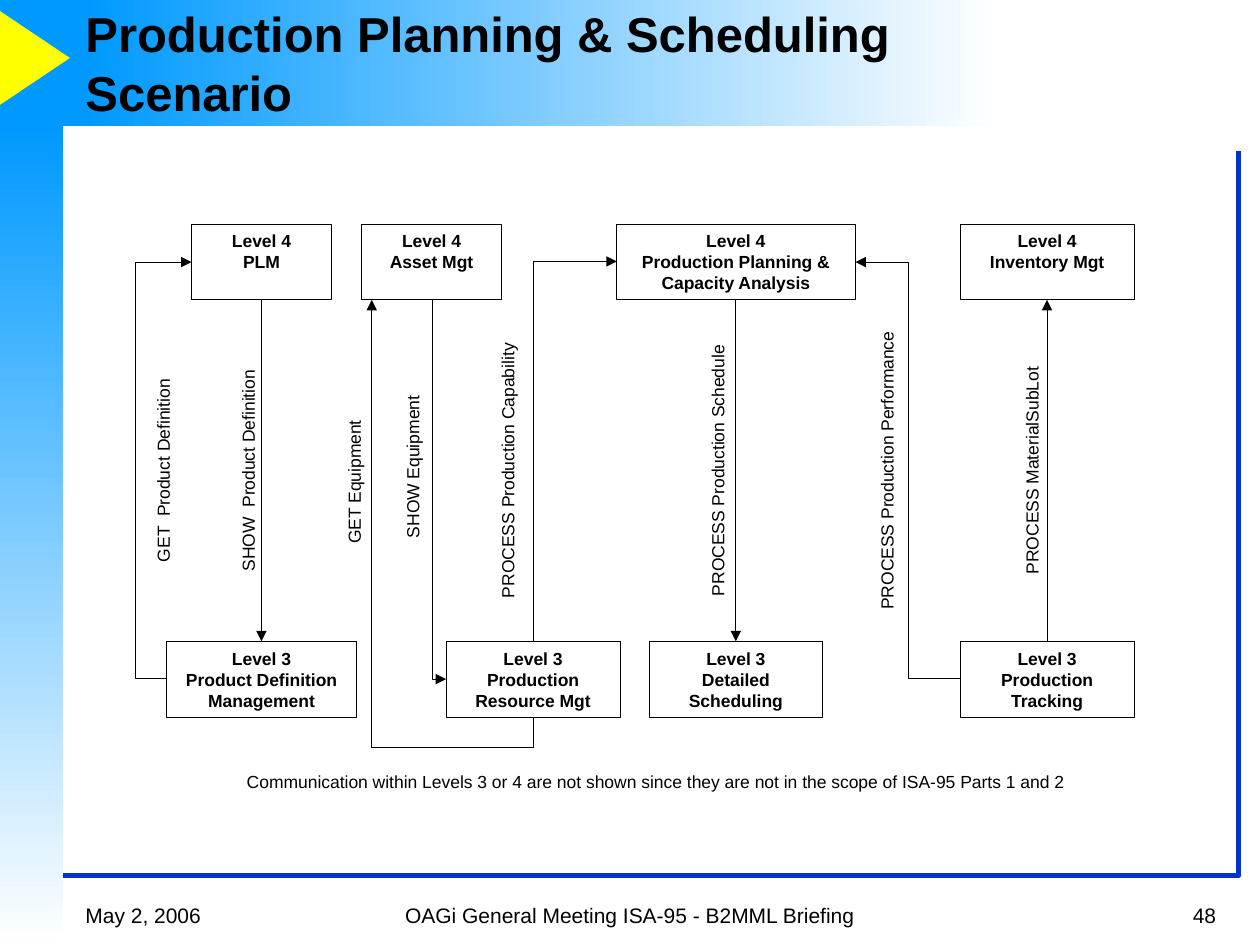
"""Build the production planning and scheduling scenario slide."""
import pptx
import pptx.util
import pptx.dml.color
import pptx.enum.shapes
import pptx.enum.text
import pptx.oxml.ns
import lxml.etree

Inches = pptx.util.Inches
Pt = pptx.util.Pt
qn = pptx.oxml.ns.qn
SHAPE = pptx.enum.shapes.MSO_SHAPE
CONNECTOR = pptx.enum.shapes.MSO_CONNECTOR
ALIGN = pptx.enum.text.PP_ALIGN
ANCHOR = pptx.enum.text.MSO_ANCHOR
FIT = pptx.enum.text.MSO_AUTO_SIZE
COLORS = {
    name: pptx.dml.color.RGBColor.from_string(value)
    for name, value in {
        "black": "000000", "white": "FFFFFF", "sky": "0099FF",
        "yellow": "FFFF00", "frame": "0033CC",
    }.items()
}
TOP, LEFT, BOTTOM, RIGHT = range(4)


def write(box, lines, size, bold=False, align=ALIGN.LEFT, **frame_format):
    frame = box.text_frame
    for name, value in {"word_wrap": True, **frame_format}.items():
        setattr(frame, name, value)
    for index, line in enumerate(lines):
        para = frame.add_paragraph() if index else frame.paragraphs[0]
        para.alignment = align
        span = para.add_run()
        span.text = line
        for name, value in {"name": "Arial", "size": Pt(size), "bold": bold}.items():
            setattr(span.font, name, value)
        span.font.color.rgb = COLORS["black"]


def draw_line(item, color="black", width=0.37, arrow_end=None):
    item.line.color.rgb = COLORS[color]
    item.line.width = Pt(width)
    properties = item._element.spPr
    if arrow_end:
        lxml.etree.SubElement(properties.find(qn("a:ln")), qn(f"a:{arrow_end}"), type="triangle")
    if properties.find(qn("a:effectLst")) is None:
        lxml.etree.SubElement(properties, qn("a:effectLst"))


deck = pptx.Presentation()
deck.slide_width, deck.slide_height = Inches(10), Inches(7.5)
page = deck.slides.add_slide(deck.slide_layouts[6])
shapes = page.shapes

for area, angle, stops in [
    ((0.67, 0, 7.25, 1), 180, ("white", "sky")),
    ((0, 1, 0.5, 6.5), 270, ("sky", "white")),
]:
    band = shapes.add_shape(SHAPE.RECTANGLE, *map(Inches, area))
    band.shadow.inherit = False
    band.line.fill.background()
    band.fill.gradient()
    band.fill.gradient_angle = angle
    for stop, color in zip(band.fill.gradient_stops, stops):
        stop.color.rgb = COLORS[color]

for kind, area, angle, color in [
    (SHAPE.RECTANGLE, (0, 0, 0.67, 1), 0, "sky"),
    (SHAPE.ISOSCELES_TRIANGLE, (-0.1, 0.18, 0.75, 0.56), 90, "yellow"),
]:
    corner = shapes.add_shape(kind, *map(Inches, area))
    corner.shadow.inherit = False
    corner.rotation = angle
    corner.line.fill.background()
    corner.fill.solid()
    corner.fill.fore_color.rgb = COLORS[color]

for points, color, width, arrow_end in [
    ([(0.5, 6.95), (9.83, 6.95), (9.83, 1.2)], "frame", 3, None),
    ([(2.95, 2.38), (2.95, 5.93), (4.23, 5.93), (4.23, 5.69)], "black", 0.37, "headEnd"),
]:
    corners = [(Inches(x), Inches(y)) for x, y in points]
    builder = shapes.build_freeform(*corners[0])
    builder.add_line_segments(corners[1:], close=False)
    route = builder.convert_to_shape()
    route.fill.background()
    draw_line(route, color, width, arrow_end)

title = shapes.add_textbox(*map(Inches, (0.58, 0.08, 7.33, 0.83)))
write(title, ["Production Planning & Scheduling Scenario"], 28, True, vertical_anchor=ANCHOR.MIDDLE)

systems = {}
for level, name, left, width in [
    (4, "PLM", 1.52, 1.11),
    (4, "Asset Mgt", 2.87, 1.11),
    (4, "Production Planning & Capacity Analysis", 4.89, 1.9),
    (4, "Inventory Mgt", 7.62, 1.38),
    (3, "Product Definition Management", 1.32, 1.51),
    (3, "Production Resource Mgt", 3.54, 1.38),
    (3, "Detailed Scheduling", 5.15, 1.38),
    (3, "Production Tracking", 7.62, 1.38),
]:
    top = 1.78 if level == 4 else 5.09
    box = shapes.add_shape(SHAPE.RECTANGLE, *map(Inches, (left, top, width, 0.6)))
    box.shadow.inherit = False
    box.fill.solid()
    box.fill.fore_color.rgb = COLORS["white"]
    draw_line(box)
    write(box, [f"Level {level}", name], 10, True, ALIGN.CENTER, vertical_anchor=ANCHOR.TOP)
    systems[name] = box

for source, source_side, target, target_side in [
    ("PLM", BOTTOM, "Product Definition Management", TOP),
    ("Production Planning & Capacity Analysis", BOTTOM, "Detailed Scheduling", TOP),
    ("Production Tracking", TOP, "Inventory Mgt", BOTTOM),
]:
    arrow = shapes.add_connector(CONNECTOR.STRAIGHT, 0, 0, 0, 0)
    arrow.begin_connect(systems[source], source_side)
    arrow.end_connect(systems[target], target_side)
    draw_line(arrow, arrow_end="tailEnd")

for source, source_side, target, target_side, area, angle, flips, preset, bend in [
    ("Product Definition Management", LEFT, "PLM", LEFT,
     (1.32, 2.08, 0.2, 3.3), 180, "H", "bentConnector3", -1.23),
    ("Production Resource Mgt", TOP, "Production Planning & Capacity Analysis", LEFT,
     (3.06, 3.25, 3.01, 0.66), 90, "HV", "bentConnector2", None),
    ("Production Tracking", LEFT, "Production Planning & Capacity Analysis", RIGHT,
     (6.79, 2.08, 0.83, 3.3), 180, "", "bentConnector3", 0.5),
    ("Asset Mgt", BOTTOM, "Production Resource Mgt", LEFT,
     (1.98, 3.83, 3.01, 0.11), 270, "H", "bentConnector2", None),
]:
    arrow = shapes.add_connector(CONNECTOR.ELBOW, 0, 0, 0, 0)
    arrow.begin_connect(systems[source], source_side)
    arrow.end_connect(systems[target], target_side)
    for name, value in zip(("left", "top", "width", "height"), area):
        setattr(arrow, name, Inches(value))
    frame = arrow._element.spPr.find(qn("a:xfrm"))
    frame.set("rot", str(angle * 60000))
    for axis in "HV":
        frame.set(f"flip{axis}", str(int(axis in flips)))
    geometry = arrow._element.spPr.find(qn("a:prstGeom"))
    geometry.set("prst", preset)
    if bend is not None:
        lxml.etree.SubElement(geometry.find(qn("a:avLst")), qn("a:gd"),
                              name="adj1", fmla=f"val {round(bend * 100000)}")
    draw_line(arrow, arrow_end="tailEnd")

for text, left, top, width, angle, align in [
    ("GET  Product Definition", 0.47, 3.6, 1.65, 270, ALIGN.CENTER),
    ("SHOW  Product Definition", 1.07, 3.6, 1.8, 270, ALIGN.CENTER),
    ("GET Equipment", 2.22, 3.69, 1.18, 270, ALIGN.CENTER),
    ("SHOW Equipment", 2.61, 3.57, 1.33, 270, ALIGN.CENTER),
    ("PROCESS Production Capability", 2.92, 3.6, 2.22, 270, ALIGN.CENTER),
    ("PROCESS Production Schedule", 4.6, 3.6, 2.19, 270, ALIGN.CENTER),
    ("PROCESS Production Performance", 5.79, 3.6, 2.5, 270, ALIGN.CENTER),
    ("PROCESS MaterialSubLot", 7.22, 3.6, 1.94, 270, ALIGN.CENTER),
    ("Communication within Levels 3 or 4 are not shown since they are not in the scope of ISA-95 Parts 1 and 2",
     1.86, 6.07, 6.68, 0, ALIGN.LEFT),
]:
    label = shapes.add_textbox(*map(Inches, (left, top, width, 0.27)))
    label.rotation = angle
    write(label, [text], 10, align=align, word_wrap=False, auto_size=FIT.SHAPE_TO_FIT_TEXT)

for text, left, width, align in [
    ("May 2, 2006", 0.58, 2.08, ALIGN.LEFT),
    ("OAGi General Meeting ISA-95 - B2MML Briefing", 2.75, 4.5, ALIGN.CENTER),
    ("48", 7.67, 2.08, ALIGN.RIGHT),
]:
    footer = shapes.add_textbox(*map(Inches, (left, 7.08, width, 0.33)))
    write(footer, [text], 12, align=align, vertical_anchor=ANCHOR.BOTTOM)

deck.save("out.pptx")
